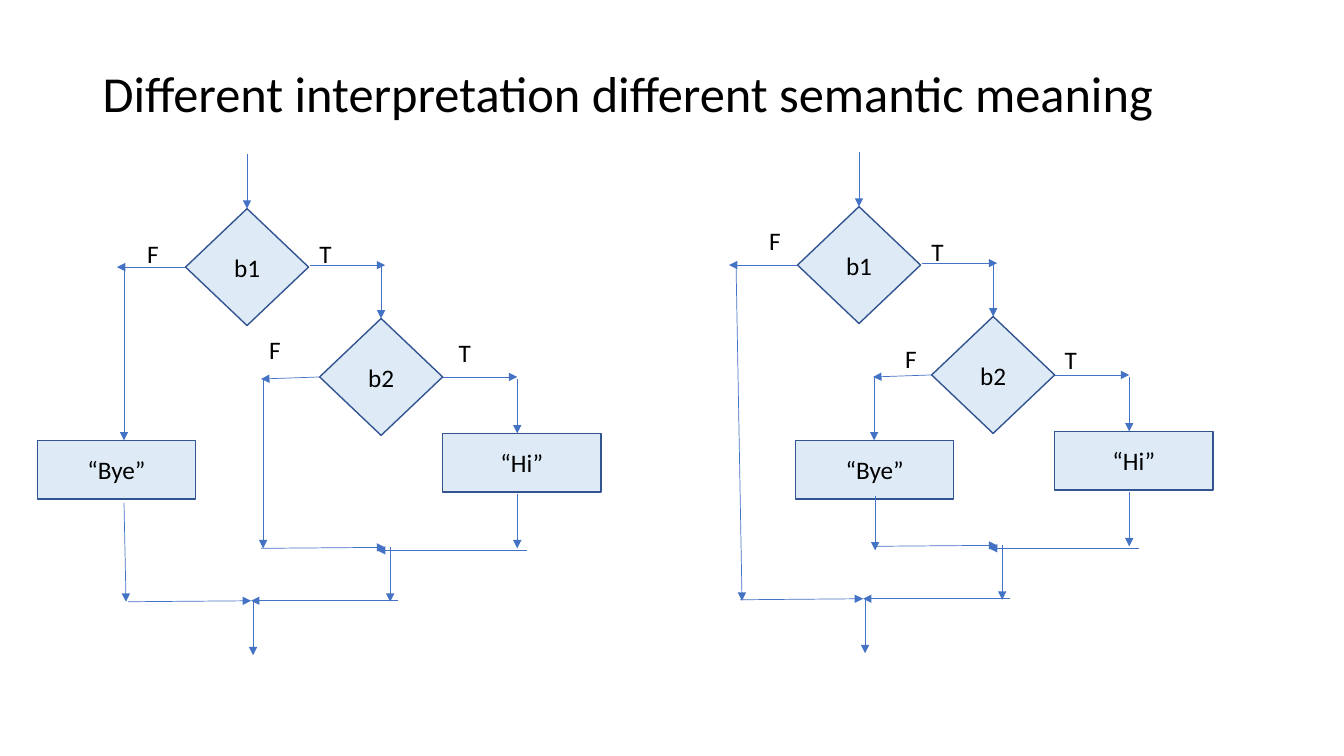
from dataclasses import dataclass

from lxml import etree
from pptx import Presentation
from pptx.dml.color import RGBColor
from pptx.enum import shapes, text
from pptx.oxml import ns
from pptx.util import Inches, Pt

COLORS = {"fill": "DEEBF7", "edge": "325491", "wire": "4472C4", "ink": "000000"}
FONT = "Calibri"
DIAMOND = shapes.MSO_SHAPE.DIAMOND
RECT = shapes.MSO_SHAPE.RECTANGLE
SIZES = {DIAMOND: (1.22, 1.16), RECT: (1.57, 0.58)}


@dataclass
class Node:
    kind: shapes.MSO_SHAPE
    words: str
    x: float
    y: float


@dataclass
class Label:
    words: str
    x: float
    y: float


@dataclass
class Wire:
    x1: float
    y1: float
    x2: float
    y2: float


@dataclass
class Chart:
    dx: float
    dy: float
    extra: list


# Items that both flow charts share
SHARED = [
    Node(DIAMOND, "b1", 1.84, 2.07),
    Node(DIAMOND, "b2", 3.17, 3.16),
    Node(RECT, "“Hi”", 4.39, 4.3),
    Label("T", 3.07, 2.32),
    # Entry and tests
    Wire(2.45, 1.53, 2.45, 2.07),
    Wire(1.83, 2.65, 1.16, 2.65),
    Wire(3.07, 2.63, 3.82, 2.63),
    Wire(3.78, 2.63, 3.78, 3.16),
    Wire(3.17, 3.74, 2.59, 3.76),
    Wire(4.39, 3.74, 5.13, 3.74),
    Wire(5.13, 3.76, 5.13, 4.3),
    # Inner join
    Wire(5.13, 4.9, 5.13, 5.44),
    Wire(2.59, 5.44, 3.82, 5.43),
    Wire(5.23, 5.46, 3.74, 5.46),
    Wire(3.87, 5.43, 3.87, 5.97),
    # Outer join and exit
    Wire(1.27, 5.97, 2.49, 5.96),
    Wire(3.95, 5.96, 2.49, 5.96),
    Wire(2.51, 5.97, 2.51, 6.5),
]

# Where "Bye" hangs sets the two charts apart
CHARTS = [
    Chart(0, 0, [
        Node(RECT, "“Bye”", 0.37, 4.37),
        Wire(1.23, 2.63, 1.23, 4.37),
        Wire(1.23, 4.99, 1.25, 5.97),
        Wire(2.61, 3.76, 2.61, 5.44),
        Label("F", 1.36, 2.32),
        Label("F", 2.57, 3.27),
        Label("T", 4.45, 3.3),
    ]),
    Chart(6.07, -0.02, [
        Node(RECT, "“Bye”", 1.82, 4.39),
        Wire(1.23, 2.63, 1.29, 5.98),
        Wire(2.6, 3.76, 2.6, 4.39),
        Wire(2.61, 4.94, 2.61, 5.48),
        Label("F", 1.46, 2.21),
        Label("F", 2.81, 3.38),
        Label("T", 4.39, 3.39),
    ]),
]


def tint(name: str) -> RGBColor:
    return RGBColor.from_string(COLORS[name])


def write(shape, words: str, size: float, align=text.PP_ALIGN.LEFT,
          anchor=text.MSO_ANCHOR.TOP) -> None:
    frame = shape.text_frame
    frame.text = words
    frame.word_wrap = True
    frame.vertical_anchor = anchor
    line = frame.paragraphs[0]
    line.alignment = align
    font = line.runs[0].font
    font.name, font.size = FONT, Pt(size)
    font.color.rgb = tint("ink")


def draw_node(group, node: Node, dx: float, dy: float) -> None:
    wide, high = SIZES[node.kind]
    shape = group.shapes.add_shape(node.kind, Inches(node.x + dx), Inches(node.y + dy),
                                   Inches(wide), Inches(high))
    shape.shadow.inherit = False
    shape.fill.solid()
    shape.fill.fore_color.rgb = tint("fill")
    shape.line.color.rgb = tint("edge")
    shape.line.width = Pt(1)
    write(shape, node.words, 18, text.PP_ALIGN.CENTER, text.MSO_ANCHOR.MIDDLE)


def draw_label(group, label: Label, dx: float, dy: float) -> None:
    box = group.shapes.add_textbox(Inches(label.x + dx), Inches(label.y + dy),
                                   Inches(0.88), Inches(0.4))
    write(box, label.words, 18)


def draw_wire(group, wire: Wire, dx: float, dy: float) -> None:
    link = group.shapes.add_connector(
        shapes.MSO_CONNECTOR.STRAIGHT, Inches(wire.x1 + dx), Inches(wire.y1 + dy),
        Inches(wire.x2 + dx), Inches(wire.y2 + dy))
    link.line.color.rgb = tint("wire")
    link.line.width = Pt(0.5)
    # Arrowhead, and no shadow
    props = link.element.spPr
    etree.SubElement(props.find(ns.qn("a:ln")), ns.qn("a:tailEnd"), type="triangle")
    etree.SubElement(props, ns.qn("a:effectLst"))


DRAW = {Node: draw_node, Label: draw_label, Wire: draw_wire}


def main() -> None:
    deck = Presentation()
    deck.slide_width, deck.slide_height = Inches(13.33), Inches(7.5)
    slide = deck.slides.add_slide(deck.slide_layouts[6])

    # Title
    title = slide.shapes.add_textbox(Inches(0.92), Inches(0.4), Inches(11.5), Inches(1.11))
    write(title, "Different interpretation different semantic meaning", 36,
          anchor=text.MSO_ANCHOR.MIDDLE)
    title.text_frame.paragraphs[0].line_spacing = 0.9

    # Flow charts
    for chart in CHARTS:
        group = slide.shapes.add_group_shape()
        for item in SHARED + chart.extra:
            DRAW[type(item)](group, item, chart.dx, chart.dy)

    deck.save("out.pptx")


if __name__ == "__main__":
    main()
